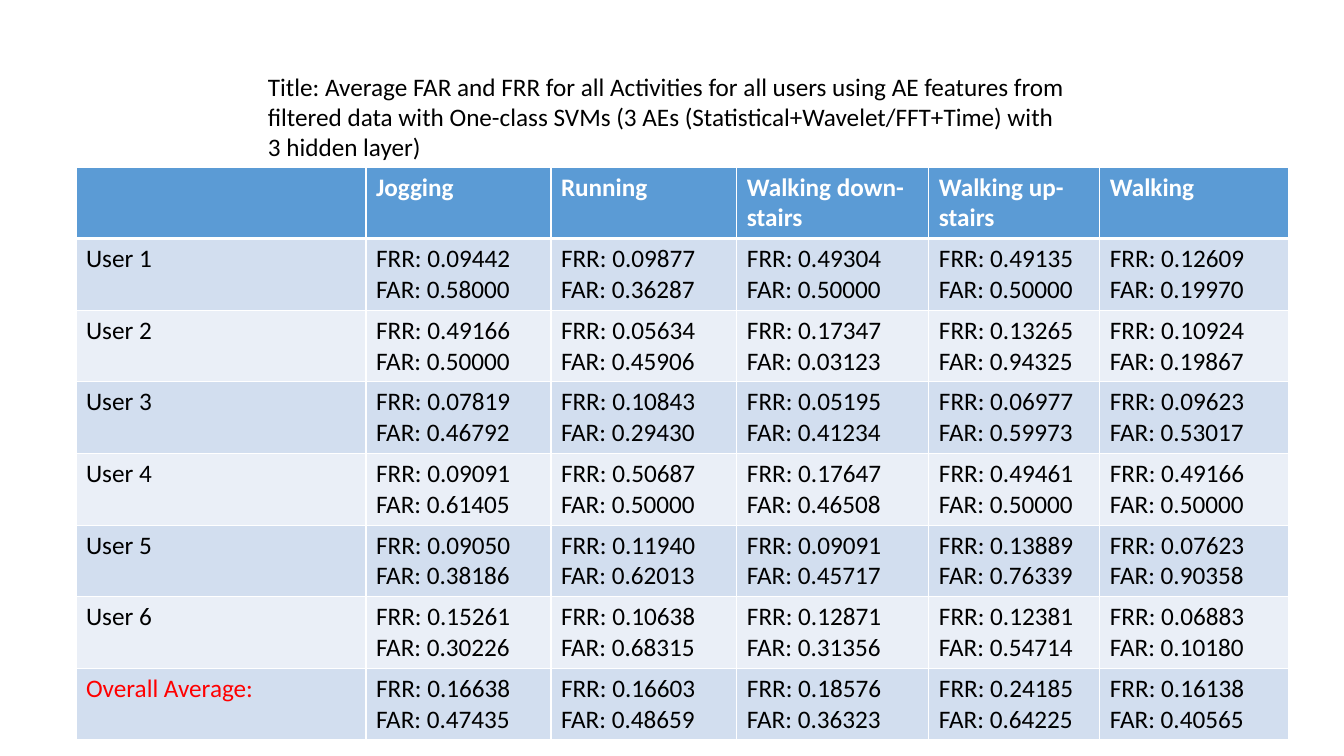
from dataclasses import dataclass

from lxml.etree import SubElement
from pptx import Presentation
from pptx.dml.color import RGBColor
from pptx.enum.text import MSO_AUTO_SIZE
from pptx.oxml.ns import qn
from pptx.util import Emu, Pt

TITLE = (
    "Title: Average FAR and FRR for all Activities for all users using AE features "
    "from filtered data with One-class SVMs (3 AEs (Statistical+Wavelet/FFT+Time) "
    "with 3 hidden layer)"
)
ACTIVITIES = ["", "Jogging", "Running", "Walking down-stairs", "Walking up-stairs", "Walking"]
RATES = {
    "User 1": [("0.09442", "0.58000"), ("0.09877", "0.36287"), ("0.49304", "0.50000"),
               ("0.49135", "0.50000"), ("0.12609", "0.19970")],
    "User 2": [("0.49166", "0.50000"), ("0.05634", "0.45906"), ("0.17347", "0.03123"),
               ("0.13265", "0.94325"), ("0.10924", "0.19867")],
    "User 3": [("0.07819", "0.46792"), ("0.10843", "0.29430"), ("0.05195", "0.41234"),
               ("0.06977", "0.59973"), ("0.09623", "0.53017")],
    "User 4": [("0.09091", "0.61405"), ("0.50687", "0.50000"), ("0.17647", "0.46508"),
               ("0.49461", "0.50000"), ("0.49166", "0.50000")],
    "User 5": [("0.09050", "0.38186"), ("0.11940", "0.62013"), ("0.09091", "0.45717"),
               ("0.13889", "0.76339"), ("0.07623", "0.90358")],
    "User 6": [("0.15261", "0.30226"), ("0.10638", "0.68315"), ("0.12871", "0.31356"),
               ("0.12381", "0.54714"), ("0.06883", "0.10180")],
    "Overall Average:": [("0.16638", "0.47435"), ("0.16603", "0.48659"), ("0.18576", "0.36323"),
                         ("0.24185", "0.64225"), ("0.16138", "0.40565")],
}


@dataclass(frozen=True)
class Theme:
    font: str = "Calibri"
    size: int = 18
    ink: str = "000000"
    alert: str = "FF0000"
    header_ink: str = "FFFFFF"
    header_fill: str = "5B9BD5"
    bands: tuple = ("D2DEEF", "EAEFF7")
    border: str = "FFFFFF"
    border_width: int = 1
    header_rule: int = 3


THEME = Theme()
PX_PER_INCH = 100.8
SLIDE_SIZE = (1344, 756)
TITLE_BOX = (258, 66, 820, 102)
TABLE_ORIGIN = (76, 167)
COLUMN_WIDTHS = [290, 185, 186, 192, 171, 189]
ROW_HEIGHT = 68


def px(length):
    return Emu(round(length * 914400 / PX_PER_INCH))


def write(frame, text, color, bold=False):
    frame.text = text
    styling = {"name": THEME.font, "size": Pt(THEME.size), "bold": bold}
    for paragraph in frame.paragraphs:
        for run in paragraph.runs:
            for attribute, value in styling.items():
                setattr(run.font, attribute, value)
            run.font.color.rgb = RGBColor.from_string(color)


def outline(cell, top, bottom):
    properties = cell._tc.get_or_add_tcPr()
    widths = {"a:lnL": THEME.border_width, "a:lnR": THEME.border_width,
              "a:lnT": top, "a:lnB": bottom}
    for tag, width in widths.items():
        edge = SubElement(properties, qn(tag), w=str(Pt(width)))
        SubElement(SubElement(edge, qn("a:solidFill")), qn("a:srgbClr"), val=THEME.border)


def add_title(slide):
    frame = slide.shapes.add_textbox(*map(px, TITLE_BOX)).text_frame
    settings = {"word_wrap": True, "auto_size": MSO_AUTO_SIZE.SHAPE_TO_FIT_TEXT}
    for attribute, value in settings.items():
        setattr(frame, attribute, value)
    write(frame, TITLE, THEME.ink)


def add_rates(slide):
    rows = [ACTIVITIES] + [
        [user] + [f"FRR: {frr}\nFAR: {far}" for frr, far in rates]
        for user, rates in RATES.items()
    ]
    extent = (sum(COLUMN_WIDTHS), ROW_HEIGHT * len(rows))
    table = slide.shapes.add_table(
        len(rows), len(ACTIVITIES), *map(px, TABLE_ORIGIN + extent)
    ).table
    for column, width in zip(table.columns, COLUMN_WIDTHS):
        column.width = px(width)
    for r, texts in enumerate(rows):
        header = r == 0
        table.rows[r].height = px(ROW_HEIGHT)
        fill = THEME.header_fill if header else THEME.bands[(r - 1) % 2]
        top = THEME.header_rule if r == 1 else THEME.border_width
        bottom = THEME.header_rule if header else THEME.border_width
        for c, text in enumerate(texts):
            cell = table.cell(r, c)
            ink = THEME.header_ink if header else THEME.ink
            if c == 0 and r == len(rows) - 1:
                ink = THEME.alert
            outline(cell, top, bottom)
            cell.fill.solid()
            cell.fill.fore_color.rgb = RGBColor.from_string(fill)
            write(cell.text_frame, text, ink, bold=header)


def main():
    presentation = Presentation()
    presentation.slide_width, presentation.slide_height = map(px, SLIDE_SIZE)
    slide = presentation.slides.add_slide(presentation.slide_layouts[6])
    add_rates(slide)
    add_title(slide)
    presentation.save("out.pptx")


if __name__ == "__main__":
    main()
